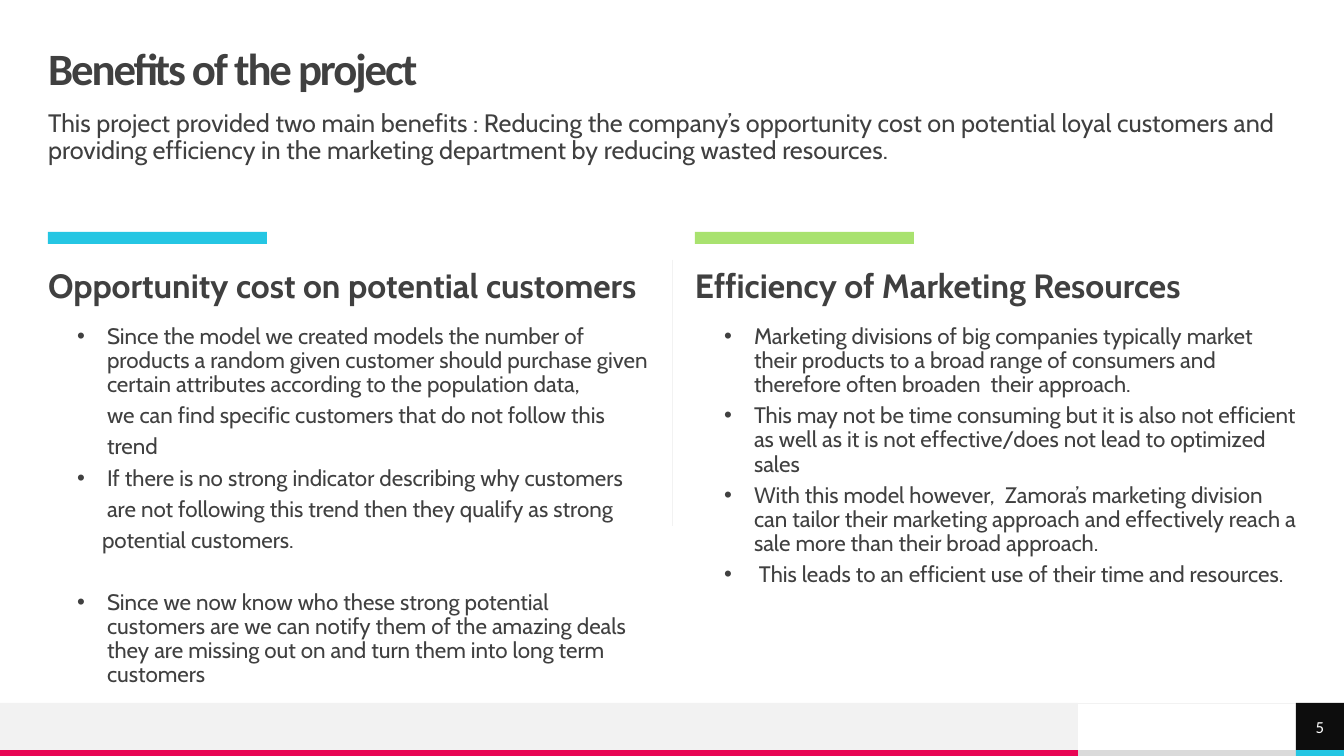
from lxml import etree
from pptx import Presentation
from pptx import util as u
from pptx.dml.color import RGBColor
from pptx.enum import shapes, text
from pptx.oxml.ns import qn

PX = 12192000 / 1344  # EMU per px

DARK = RGBColor(0x40, 0x40, 0x40)
CYAN = RGBColor(0x25, 0xC6, 0xE3)
GREEN = RGBColor(0xA9, 0xE2, 0x6F)
PINK = RGBColor(0xE8, 0x05, 0x54)
PALE = RGBColor(0xF2, 0xF2, 0xF2)
GREY = RGBColor(0xDA, 0xDA, 0xDA)
BLACK = RGBColor(0x0D, 0x0D, 0x0D)
WHITE = RGBColor(0xFF, 0xFF, 0xFF)

# Text styles
TITLE = dict(name="Calibri", size=u.Pt(32), bold=True)
INTRO = dict(name="Cabin", size=u.Pt(18), bold=False)
HEADING = dict(name="Cabin", size=u.Pt(24), bold=True)
ITEM = dict(name="Cabin", size=u.Pt(16), bold=False)
NUMBER = dict(name="Calibri", size=u.Pt(12), bold=False)

LEFT, RIGHT = 48, 695
COLUMN_WIDTH, FULL_WIDTH = 602, 1249
FOOTER_TOP, STRIPE_TOP, FOOTER_SPLIT, NUMBER_LEFT = 703, 750, 1078, 1296
TEXT_INDENT, HANGING = 59, 30

# List entries: text, bulleted, left indent in px, space before in points
COST_ITEMS = [
    ("Since the model we created models the number of products a random given "
     "customer should purchase given certain attributes according to the "
     "population data,", True, TEXT_INDENT, 5),
    ("we can find specific customers that do not follow this", False, TEXT_INDENT, 5),
    ("trend", False, TEXT_INDENT, 5),
    ("If there is no strong indicator describing why customers", True, TEXT_INDENT, 5),
    ("are not following this trend then they qualify as strong", False, TEXT_INDENT, 5),
    ("potential customers.", False, 54, 5),
    ("Since we now know who these strong potential customers are we can notify "
     "them of the amazing deals they are missing out on and turn them into long "
     "term customers", True, TEXT_INDENT, 27),
]
EFFICIENCY_ITEMS = [(line, True, TEXT_INDENT, 5) for line in (
    "Marketing divisions of big companies typically market their products to a "
    "broad range of consumers and therefore often broaden  their approach.",
    "This may not be time consuming but it is also not efficient as well as it is "
    "not effective/does not lead to optimized sales",
    "With this model however,  Zamora’s marketing division can tailor their "
    "marketing approach and effectively reach a sale more than their broad approach.",
    " This leads to an efficient use of their time and resources.",
)]


def px(length):
    return u.Emu(round(length * PX))


def apply_formats(target, formats):
    for name, value in formats.items():
        setattr(target, name, value)


def place(box, left, top, width, height):
    apply_formats(box, dict(left=px(left), top=px(top),
                            width=px(width), height=px(height)))


def prepare_frame(box, anchor=text.MSO_ANCHOR.TOP):
    frame = box.text_frame
    apply_formats(frame, dict(
        word_wrap=True, auto_size=text.MSO_AUTO_SIZE.NONE, vertical_anchor=anchor,
        margin_left=0, margin_top=0, margin_right=0, margin_bottom=0))
    return frame


def add_run(paragraph, words, style, color=DARK, tracking=0):
    run = paragraph.add_run()
    run.text = words
    apply_formats(run.font, style)
    run.font.color.rgb = color
    if tracking:
        run.font._element.set("spc", str(round(tracking * 100)))


def write_line(box, area, words, style, before=10, tracking=0,
               anchor=text.MSO_ANCHOR.TOP):
    place(box, *area)
    paragraph = prepare_frame(box, anchor).paragraphs[0]
    apply_formats(paragraph, dict(alignment=text.PP_ALIGN.LEFT, line_spacing=0.9,
                                  space_before=u.Pt(before)))
    add_run(paragraph, words, style, tracking=tracking)


def write_list(box, area, items):
    place(box, *area)
    frame = prepare_frame(box)
    for index, (words, bulleted, indent, before) in enumerate(items):
        paragraph = frame.add_paragraph() if index else frame.paragraphs[0]
        apply_formats(paragraph, dict(level=1, alignment=text.PP_ALIGN.LEFT,
                                      line_spacing=0.9, space_before=u.Pt(before)))
        add_run(paragraph, words, ITEM)
        props = paragraph._p.get_or_add_pPr()
        props.set("marL", str(px(indent)))
        props.set("indent", str(px(-HANGING if bulleted else 0)))
        if bulleted:
            etree.SubElement(props, qn("a:buFont")).set("typeface", "Arial")
            etree.SubElement(props, qn("a:buChar")).set("char", "•")
        else:
            etree.SubElement(props, qn("a:buNone"))


def add_block(slide, area, color):
    block = slide.shapes.add_shape(shapes.MSO_SHAPE.RECTANGLE, *map(px, area))
    block.shadow.inherit = False
    block.fill.solid()
    block.fill.fore_color.rgb = color
    block.line.fill.background()
    return block


def add_rule(slide, *ends):
    rule = slide.shapes.add_connector(shapes.MSO_CONNECTOR.STRAIGHT, *map(px, ends))
    rule.line.color.rgb = PALE
    rule.line.width = u.Pt(0.5)
    etree.SubElement(rule._element.spPr, qn("a:effectLst"))


def add_footer(slide):
    split_width = NUMBER_LEFT - FOOTER_SPLIT
    band_height = STRIPE_TOP - FOOTER_TOP
    for area, color in (
        ((FOOTER_SPLIT, STRIPE_TOP, split_width, 6), GREY),
        ((0, FOOTER_TOP, FOOTER_SPLIT, band_height), PALE),
        ((0, STRIPE_TOP, FOOTER_SPLIT, 6), PINK),
        ((NUMBER_LEFT, STRIPE_TOP, 48, 6), CYAN),
    ):
        add_block(slide, area, color)
    add_rule(slide, 1344, FOOTER_TOP, 0, FOOTER_TOP)

    # Page number
    number = add_block(slide, (NUMBER_LEFT, FOOTER_TOP, 48, band_height), BLACK)
    paragraph = prepare_frame(number, text.MSO_ANCHOR.MIDDLE).paragraphs[0]
    paragraph.alignment = text.PP_ALIGN.CENTER
    add_run(paragraph, "5", NUMBER, WHITE)


def add_benefit(slide, left, color, heading, heading_words, listing, items):
    add_block(slide, (left, 232, 219, 12), color)
    write_line(heading, (left, 269, COLUMN_WIDTH, 39), heading_words, HEADING)
    write_list(listing, (left, 325, COLUMN_WIDTH, 377), items)


def main():
    deck = Presentation()
    deck.slide_width, deck.slide_height = px(1344), px(756)
    slide = deck.slides.add_slide(deck.slide_layouts.get_by_name("Comparison"))
    title, cost_head, cost_list, gain_head, gain_list = slide.placeholders

    add_footer(slide)

    # Title and introduction
    write_line(title, (LEFT, 47, FULL_WIDTH, 48), "Benefits of the project", TITLE,
               before=0, tracking=-1.5, anchor=text.MSO_ANCHOR.MIDDLE)
    intro_area = (LEFT, 111, FULL_WIDTH, 65)
    intro = slide.shapes.add_textbox(*map(px, intro_area))
    write_line(intro, intro_area,
               "This project provided two main benefits : Reducing the company’s "
               "opportunity cost on potential loyal customers and providing efficiency "
               "in the marketing department by reducing wasted resources.", INTRO)

    # Two benefits, side by side
    add_benefit(slide, LEFT, CYAN, cost_head,
                "Opportunity cost on potential customers", cost_list, COST_ITEMS)
    add_rule(slide, 672, 260, 672, 526)
    add_benefit(slide, RIGHT, GREEN, gain_head,
                "Efficiency of Marketing Resources", gain_list, EFFICIENCY_ITEMS)

    deck.save("out.pptx")


if __name__ == "__main__":
    main()
